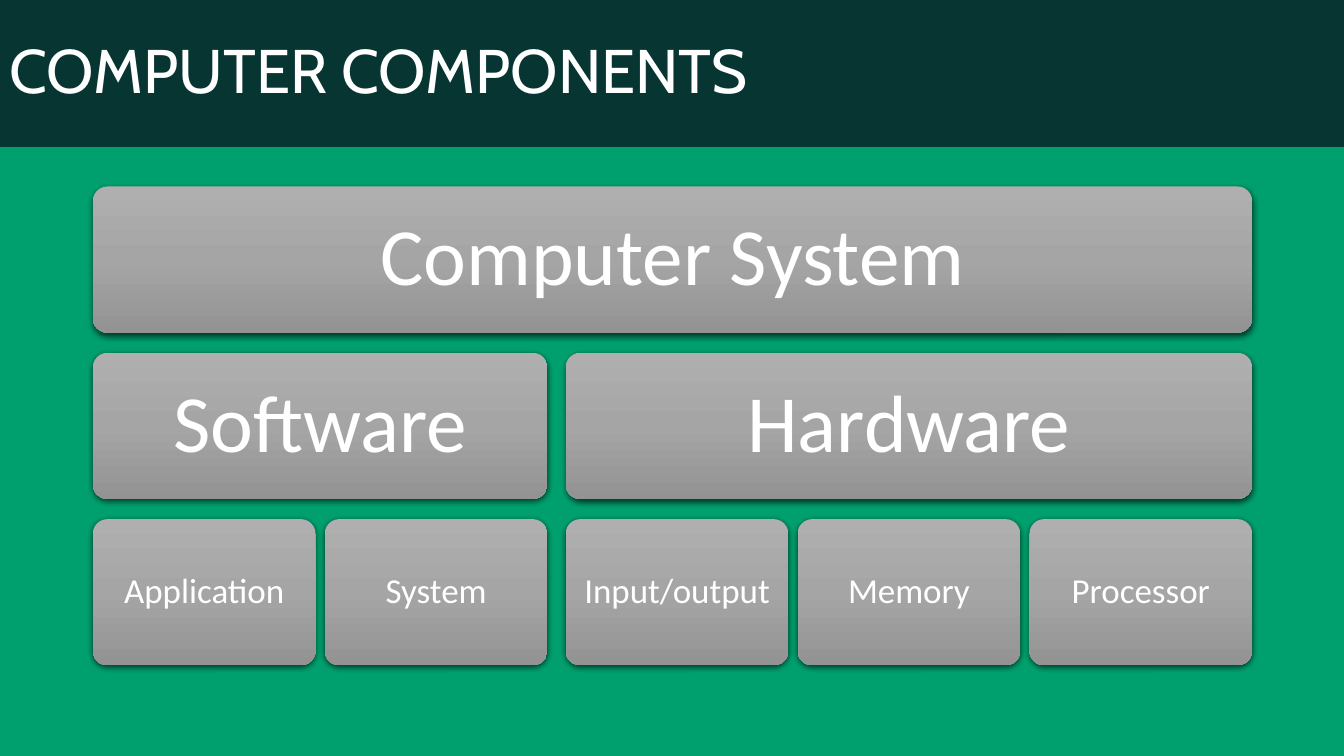
from copy import deepcopy

from pptx import Presentation
from pptx.dml.color import RGBColor
from pptx.enum.shapes import MSO_SHAPE
from pptx.enum.text import MSO_ANCHOR, PP_ALIGN
from pptx.oxml import parse_xml
from pptx.oxml.ns import nsdecls, qn
from pptx.util import Inches, Pt

# Content
TITLE = "COMPUTER COMPONENTS"
ROOT = "Computer System"
BRANCHES = {
    "Software": ["Application", "System"],
    "Hardware": ["Input/output", "Memory", "Processor"],
}

COLORS = {
    "background": "00A06E",
    "banner": "063532",
    "text": "FFFFFF",
    "shadow": "000000",
    "box_top": "AFAFAF",
    "box_middle": "A5A5A5",
    "box_bottom": "939393",
}
BOX_GRADIENT = [(0, "box_top"), (0.5, "box_middle"), (1, "box_bottom")]

# Layout in inches
SLIDE_WIDTH, SLIDE_HEIGHT = 13.33, 7.5
LEFT, TOP = 0.92, 1.85
BOX_HEIGHT, ROW_STEP = 1.45, 1.65
LEAF_WIDTH, LEAF_GAP, BRANCH_GAP = 2.21, 0.09, 0.18


def color(name):
    return RGBColor.from_string(COLORS[name])


def write_text(shape, text, size, font="Calibri", align=PP_ALIGN.CENTER, inset=0.1):
    frame = shape.text_frame
    frame.word_wrap = True
    frame.vertical_anchor = MSO_ANCHOR.MIDDLE
    frame.margin_left = frame.margin_right = Inches(inset)
    frame.margin_top = frame.margin_bottom = Inches(inset)
    paragraph = frame.paragraphs[0]
    paragraph.alignment = align
    paragraph.line_spacing = 0.9
    run = paragraph.add_run()
    run.text = text
    run.font.size = Pt(size)
    run.font.name = font
    run.font.color.rgb = color("text")


def fill_gradient(shape):
    shape.fill.gradient()
    shape.fill.gradient_angle = 270
    stop_list = shape._element.spPr.find(qn("a:gradFill")).find(qn("a:gsLst"))
    stop_list.insert(1, deepcopy(stop_list[0]))
    for stop, (position, name) in zip(shape.fill.gradient_stops, BOX_GRADIENT):
        stop.position = position
        stop.color.rgb = color(name)


def add_shadow(shape):
    shape.shadow.inherit = False
    effects = shape._element.spPr.find(qn("a:effectLst"))
    effects.append(parse_xml(
        f'<a:outerShdw {nsdecls("a")} blurRad="{Pt(4.5)}" dist="{Pt(1.5)}" '
        f'dir="5400000" algn="ctr" rotWithShape="0">'
        f'<a:srgbClr val="{COLORS["shadow"]}"><a:alpha val="63000"/></a:srgbClr>'
        f'</a:outerShdw>'))


def add_box(slide, text, left, row, width, size, inset):
    box = slide.shapes.add_shape(
        MSO_SHAPE.ROUNDED_RECTANGLE, Inches(left), Inches(TOP + row * ROW_STEP),
        Inches(width), Inches(BOX_HEIGHT))
    box.adjustments[0] = 0.1
    fill_gradient(box)
    box.line.fill.background()
    add_shadow(box)
    write_text(box, text, size, inset=inset)


def span(count):
    return count * LEAF_WIDTH + (count - 1) * LEAF_GAP


def main():
    presentation = Presentation()
    presentation.slide_width = Inches(SLIDE_WIDTH)
    presentation.slide_height = Inches(SLIDE_HEIGHT)
    slide = presentation.slides.add_slide(presentation.slide_layouts[6])
    slide.background.fill.solid()
    slide.background.fill.fore_color.rgb = color("background")

    # Title banner
    banner = slide.shapes.add_shape(
        MSO_SHAPE.RECTANGLE, 0, 0, Inches(SLIDE_WIDTH), Inches(1.45))
    banner.shadow.inherit = False
    banner.fill.solid()
    banner.fill.fore_color.rgb = color("banner")
    banner.line.color.rgb = color("banner")
    banner.line.width = Pt(0.75)
    write_text(banner, TITLE, 44, font="Cabin", align=PP_ALIGN.LEFT)

    # Hierarchy: the root spans all branches, each branch spans its leaves
    widths = [span(len(leaves)) for leaves in BRANCHES.values()]
    root_width = sum(widths) + BRANCH_GAP * (len(widths) - 1)
    add_box(slide, ROOT, LEFT, 0, root_width, size=58, inset=0.28)
    left = LEFT
    for (branch, leaves), width in zip(BRANCHES.items(), widths):
        add_box(slide, branch, left, 1, width, size=58, inset=0.28)
        for index, leaf in enumerate(leaves):
            leaf_left = left + index * (LEAF_WIDTH + LEAF_GAP)
            add_box(slide, leaf, leaf_left, 2, LEAF_WIDTH, size=25, inset=0.14)
        left += width + BRANCH_GAP

    presentation.save("out.pptx")


if __name__ == "__main__":
    main()
